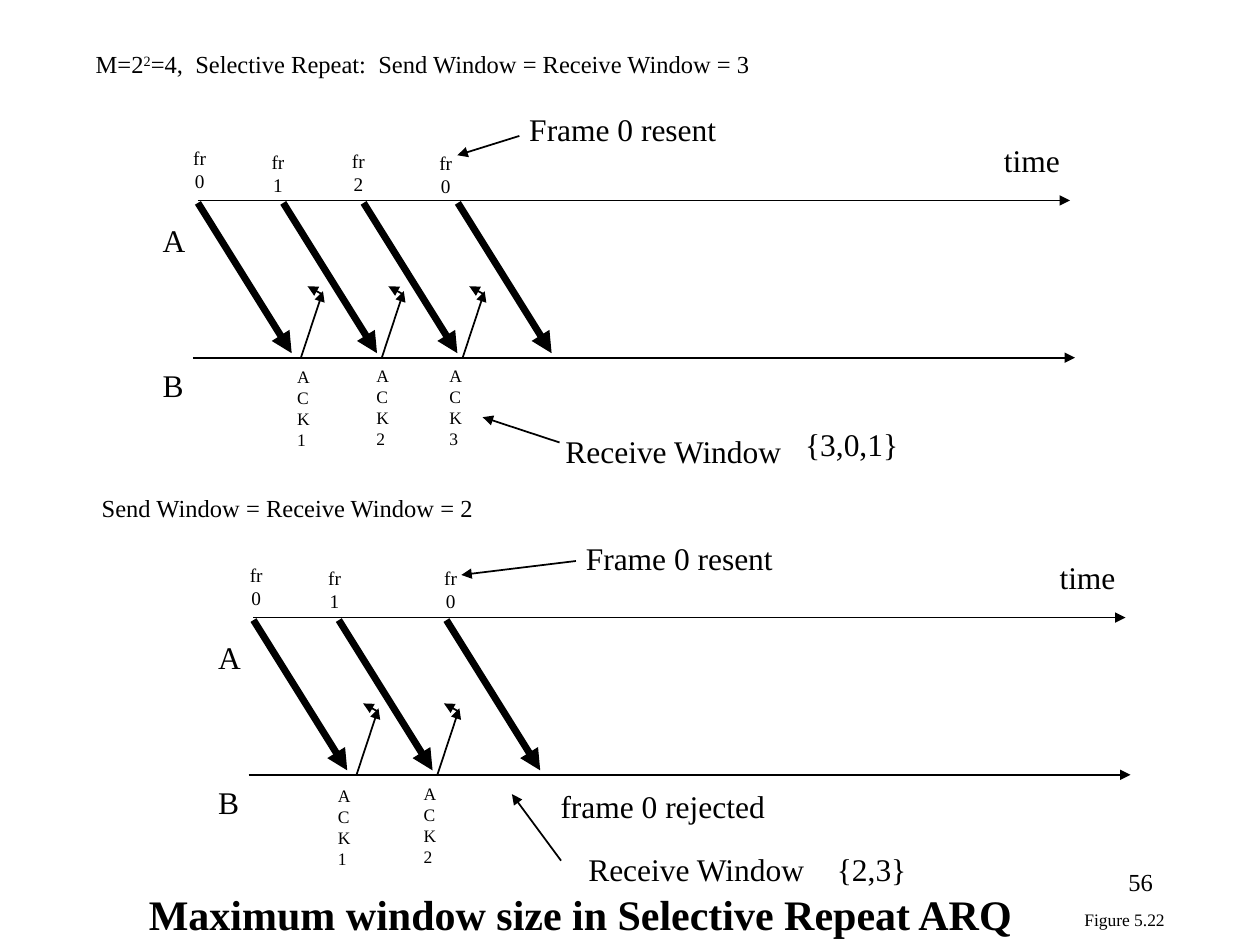
from dataclasses import dataclass

from lxml.etree import SubElement
from pptx import Presentation
from pptx.dml.color import RGBColor
from pptx.enum.shapes import MSO_CONNECTOR as Connector
from pptx.enum.text import MSO_ANCHOR as Anchor
from pptx.enum.text import MSO_AUTO_SIZE as AutoSize
from pptx.enum.text import PP_ALIGN as Align
from pptx.oxml.ns import qn
from pptx.util import Cm, Pt

FONT = "Times New Roman"
BLACK = "000000"
SMALL, MEDIUM, LARGE = 0.2, 0.25, 0.3  # side insets in cm; top and bottom are half


@dataclass
class Exchange:
    """One sender/receiver diagram; all positions are in cm from the start of line A."""
    frames: list   # number, label left, label top, arrow start
    acks: list     # text, left, top
    notes: list    # text, left, top, width
    pointers: list  # x1, y1, x2, y2


def color(hex_string):
    return RGBColor.from_string(hex_string)


def add_text(slide, box, paragraphs, size, inset=MEDIUM, align=Align.LEFT,
             bold=False, wrap=False, anchor=Anchor.TOP):
    """Each paragraph is a list of (text, baseline percent) runs or a plain string."""
    label = slide.shapes.add_textbox(*(Cm(length) for length in box))
    frame = label.text_frame
    frame.margin_left = frame.margin_right = Cm(inset)
    frame.margin_top = frame.margin_bottom = Cm(inset / 2)
    frame.word_wrap = wrap
    frame.auto_size = AutoSize.SHAPE_TO_FIT_TEXT
    frame.vertical_anchor = anchor
    for index, content in enumerate(paragraphs):
        paragraph = frame.add_paragraph() if index else frame.paragraphs[0]
        paragraph.alignment = align
        runs = [(content, 0)] if isinstance(content, str) else content
        for words, baseline in runs:
            run = paragraph.add_run()
            run.text = words
            run.font.name = FONT
            run.font.size = Pt(size)
            run.font.bold = bold
            run.font.color.rgb = color(BLACK)
            if baseline:
                run.font._element.set("baseline", str(baseline * 1000))


def add_arrow(slide, x1, y1, x2, y2, weight=1):
    arrow = slide.shapes.add_connector(Connector.STRAIGHT, Cm(x1), Cm(y1), Cm(x2), Cm(y2))
    arrow.line.color.rgb = color(BLACK)
    arrow.line.width = Pt(weight)
    SubElement(arrow.line._get_or_add_ln(), qn("a:tailEnd"), type="triangle")
    SubElement(arrow._element.spPr, qn("a:effectLst"))


def add_timelines(slide, x, y):
    add_arrow(slide, x, y, x + 17.58, y)
    add_arrow(slide, x - 0.1, y + 3.17, x + 17.68, y + 3.17)
    for station, top in (("A", 0.26), ("B", 3.18)):
        add_text(slide, (x - 1.01, y + top, 1.1, 1.07), [station], 18, LARGE)
    add_text(slide, (x + 15.95, y - 1.35, 1.8, 1.07), ["time"], 18, LARGE)


def add_lost_ack(slide, x, y):
    """Draws a reply that turns back before it reaches line A."""
    add_arrow(slide, x, y, x + 0.44, y - 1.33)
    add_arrow(slide, x + 0.44, y - 1.26, x + 0.13, y - 1.43)


def add_exchange(slide, x, y, exchange):
    add_timelines(slide, x, y)
    for number, left, top, start in exchange.frames:
        add_text(slide, (x + left, y + top, 0.89, 1.24), ["fr", number], 11,
                 LARGE, Align.CENTER)
        add_arrow(slide, x + start, y + 0.05, x + start + 1.89, y + 3.08, weight=4)
    for index, (ack, left, top) in enumerate(exchange.acks):
        add_text(slide, (x + left, y + top, 0.66, 1.9), [ack], 10, SMALL, wrap=True)
        add_lost_ack(slide, x + 2.08 + 1.63 * index, y + 3.16)
    for note, left, top, width in exchange.notes:
        add_text(slide, (x + left, y + top, width, 1.02), [note], 18)
    for x1, y1, x2, y2 in exchange.pointers:
        add_arrow(slide, x + x1, y + y1, x + x2, y + y2)


def add_headings(slide):
    add_text(slide, (1.73, 0.89, 13.8, 0.79),
             [[("M=2", 0), ("2", 30),
               ("=4,  Selective Repeat:  Send Window = Receive Window = 3", 0)]],
             14, SMALL)
    add_text(slide, (1.85, 9.83, 8.1, 0.79), ["Send Window = Receive Window = 2"], 14, SMALL)


def add_footer(slide):
    add_text(slide, (18.21, 17.35, 5.28, 1.27), ["56"], 14, align=Align.RIGHT, wrap=True)
    add_text(slide, (21.57, 18.19, 2.2, 0.69), ["Figure 5.22"], 10,
             align=Align.CENTER, anchor=Anchor.MIDDLE)
    add_text(slide, (2.75, 17.78, 18.1, 1.27),
             ["Maximum window size in Selective Repeat ARQ"], 24, bold=True)


WINDOW_OF_3 = Exchange(
    frames=[("0", -0.41, -1.24, 0), ("1", 1.17, -1.17, 1.72),
            ("2", 2.79, -1.19, 3.34), ("0", 4.55, -1.14, 5.24)],
    acks=[("ACK1", 1.8, 3.23), ("ACK2", 3.4, 3.22), ("ACK3", 4.87, 3.22)],
    notes=[("Frame 0 resent", 6.43, -1.95, 4.5),
           ("Receive Window", 7.16, 4.55, 5.1),
           ("{3,0,1}", 11.99, 4.41, 2.6)],
    pointers=[(6.48, -1.3, 5.23, -0.91), (7.29, 4.88, 5.74, 4.37)],
)
WINDOW_OF_2 = Exchange(
    frames=[("0", -0.39, -1.24, 0), ("1", 1.19, -1.19, 1.72), ("0", 3.53, -1.19, 3.89)],
    acks=[("ACK1", 1.5, 3.28), ("ACK2", 3.23, 3.23)],
    notes=[("Frame 0 resent", 6.45, -1.7, 4.5),
           ("frame 0 rejected", 5.94, 3.3, 4.9),
           ("Receive Window", 6.5, 4.57, 5.1),
           ("{2,3}", 11.51, 4.57, 2.2)],
    pointers=[(6.5, -1.14, 4.19, -0.86), (6.2, 4.9, 5.21, 3.56)],
)


def main():
    deck = Presentation()
    deck.slide_width, deck.slide_height = Cm(25.4), Cm(19.05)
    slide = deck.slides.add_slide(deck.slide_layouts[6])
    add_headings(slide)
    add_exchange(slide, 3.99, 4.04, WINDOW_OF_3)
    add_exchange(slide, 5.11, 12.45, WINDOW_OF_2)
    add_footer(slide)
    deck.save("out.pptx")


if __name__ == "__main__":
    main()
